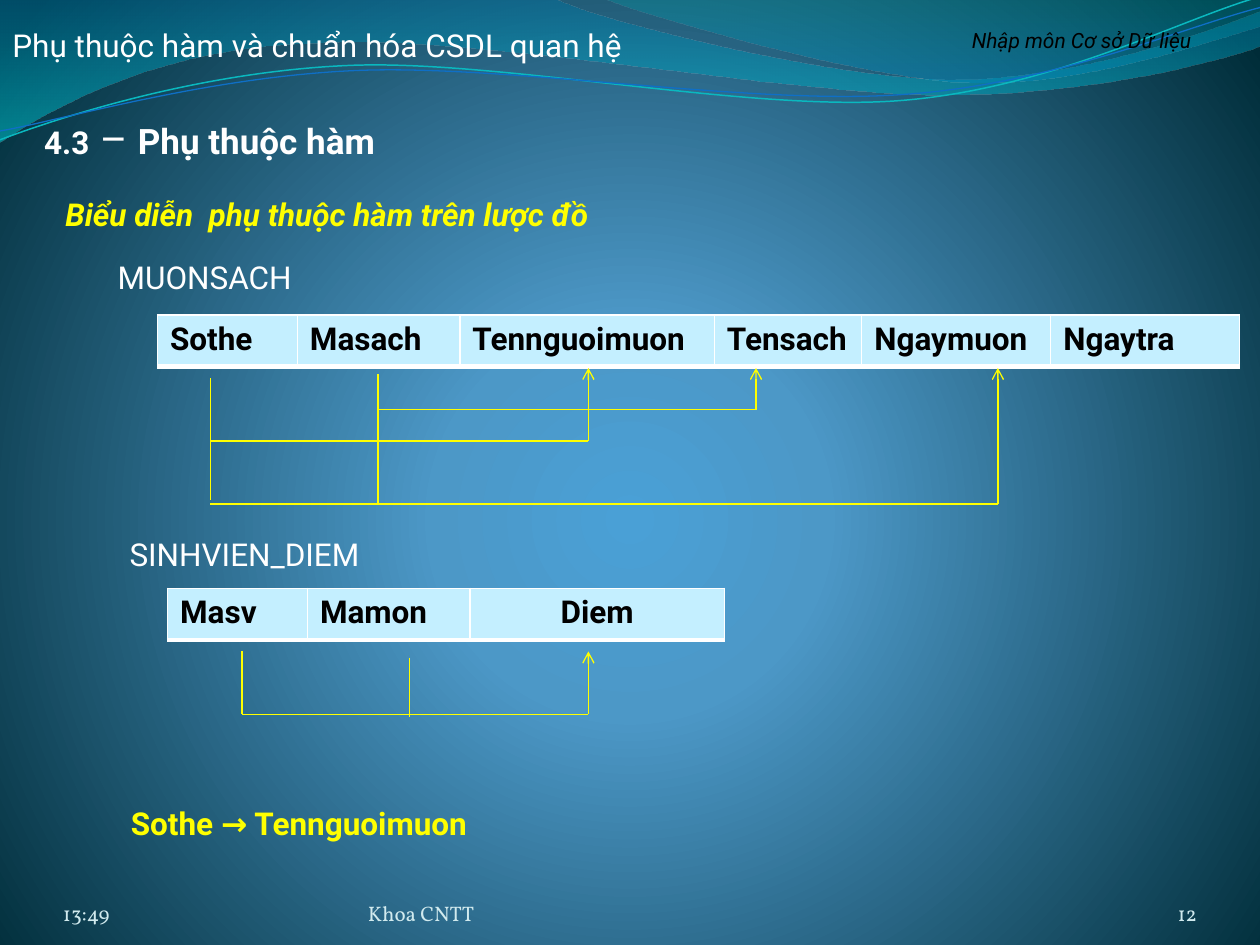
from lxml.etree import SubElement
from pptx import Presentation
from pptx.dml.color import RGBColor
from pptx.enum.shapes import MSO_CONNECTOR
from pptx.enum.text import MSO_ANCHOR, PP_ALIGN
from pptx.oxml import parse_xml
from pptx.oxml.ns import qn
from pptx.util import Pt

PX = 9144  # EMU per px, 100 px to the inch
WHITE = RGBColor(0xFF, 0xFF, 0xFF)
BLACK = RGBColor(0, 0, 0)
YELLOW = RGBColor(0xFF, 0xFF, 0)
PALE = RGBColor(0xD1, 0xEA, 0xEE)
CELL_BLUE = RGBColor(0xC4, 0xEF, 0xFF)
CYAN = RGBColor(0x0A, 0xB8, 0xBF)
BLUE = RGBColor(0x0F, 0x6F, 0xC6)
BAND_TOP = RGBColor(0, 0x74, 0xA1)
BAND_BOTTOM = RGBColor(0, 0xC6, 0xCF)
CREST_TOP = RGBColor(0, 0xA1, 0xA9)
CREST_BOTTOM = RGBColor(0, 0x8B, 0xBF)
LEFT, CENTER, RIGHT = PP_ALIGN.LEFT, PP_ALIGN.CENTER, PP_ALIGN.RIGHT

prs = Presentation()
prs.slide_width, prs.slide_height = 1000 * PX, 750 * PX
slide = prs.slides.add_slide(prs.slide_layouts[5])
shapes = slide.shapes


def add_run(paragraph, text, size, color, bold=False, italic=False, font="Roboto"):
    run = paragraph.add_run()
    run.text = text
    run.font.name, run.font.size = font, Pt(size)
    run.font.bold, run.font.italic = bold, italic
    run.font.color.rgb = color


def add_wave(start, curves, corners=()):
    """Draw cubic curves (control, control, end) from start, closing through any corners."""
    points = [point for curve in curves for point in curve]
    builder = shapes.build_freeform(*start, scale=PX)
    builder.add_line_segments(points + list(corners), close=bool(corners))
    wave = builder.convert_to_shape()
    wave.shadow.inherit = False
    # Turn each three line steps of a curve into one cubic step
    steps = list(wave.element.spPr.iter(qn("a:lnTo")))[:len(points)]
    for first in range(0, len(steps), 3):
        cubic = SubElement(steps[first].getparent(), qn("a:cubicBezTo"))
        steps[first].addprevious(cubic)
        for step in steps[first:first + 3]:
            cubic.append(step[0])
            step.getparent().remove(step)
    return wave


# Radial background
slide.background.fill.solid()
bg_pr = slide.element.cSld.find(qn("p:bg")).find(qn("p:bgPr"))
bg_pr.replace(bg_pr[0], parse_xml(
    '<a:gradFill xmlns:a="http://schemas.openxmlformats.org/drawingml/2006/main" rotWithShape="1">'
    '<a:gsLst><a:gs pos="0"><a:srgbClr val="4AA0D6"/></a:gs>'
    '<a:gs pos="25000"><a:srgbClr val="4C98C7"/></a:gs>'
    '<a:gs pos="100000"><a:srgbClr val="002C38"/></a:gs></a:gsLst>'
    '<a:path path="circle"><a:fillToRect l="10000" t="110000" r="10000" b="100000"/></a:path>'
    '</a:gradFill>'))

# Waves along the top
band = add_wave(
    (440, -1),
    [((476, 17), (664, 63), (758, 63)), ((853, 63), (958, 26), (1000, 9)),
     ((1000, 18), (1001, 27), (1001, 36)), ((983, 44), (870, 76), (746, 75)),
     ((622, 75), (382, 28), (257, 34)), ((129, 36), (46, 83), (-1, 113))],
    corners=[(0, 0)])
crest = add_wave(
    (479, -1),
    [((509, 11), (682, 62), (769, 65)), ((856, 69), (961, 32), (1000, 21))],
    corners=[(1000, 0)])
for wave, stops in ((band, ((BAND_TOP, 45), (BAND_BOTTOM, 55))),
                    (crest, ((CREST_TOP, 30), (CREST_BOTTOM, 45)))):
    wave.line.fill.background()
    wave.fill.gradient()
    wave.fill.gradient_angle = 270
    for stop, (color, _) in zip(wave.fill.gradient_stops, stops):
        stop.color.rgb = color
    for rgb, (_, opacity) in zip(wave.element.spPr.iter(qn("a:srgbClr")), stops):
        SubElement(rgb, qn("a:alpha"), val=str(opacity * 1000))

for color, width, start, curves in (
    (CYAN, 0.85, (0, 111),
     [((48, 93), (158, 57), (277, 52)), ((395, 47), (593, 89), (713, 80)),
      ((833, 71), (938, 15), (998, -2))]),
    (BLUE, 0.75, (0, 104),
     [((47, 96), (164, 61), (283, 56)), ((403, 51), (597, 84), (717, 75)),
      ((836, 67), (941, 21), (1000, 6))]),
):
    strand = add_wave(start, curves)
    strand.fill.background()
    strand.line.color.rgb, strand.line.width = color, Pt(width)

# Section title
title = shapes.title
title.left, title.top, title.width, title.height = 25 * PX, 84 * PX, 700 * PX, 50 * PX
title.text_frame.vertical_anchor = MSO_ANCHOR.TOP
heading = title.text_frame.paragraphs[0]
heading.alignment = LEFT
add_run(heading, "4.3", 18, WHITE, bold=True)
add_run(heading, " – ", 24, WHITE)
add_run(heading, "Phụ thuộc hàm", 20, WHITE, bold=True)

# Labels: text, box, alignment, size, colour, bold, italic
for text, box, align, size, color, bold, italic in (
    ("Nhập môn Cơ sở Dữ liệu", (717, 17, 283, 30), CENTER, 12, BLACK, False, True),
    ("Phụ thuộc hàm và chuẩn hóa CSDL quan hệ", (0, 16, 511, 40), LEFT, 18, WHITE, False, False),
    ("Biểu diễn  phụ thuộc hàm trên lược đồ", (42, 150, 502, 40), LEFT, 18, YELLOW, True, True),
    ("MUONSACH", (69, 200, 187, 40), CENTER, 18, WHITE, False, False),
    ("SINHVIEN_DIEM", (93, 420, 207, 40), LEFT, 18, WHITE, False, False),
    ("Sothe → Tennguoimuon", (94, 633, 323, 40), LEFT, 18, YELLOW, True, False),
):
    frame = shapes.add_textbox(*(v * PX for v in box)).text_frame
    frame.word_wrap = True
    frame.paragraphs[0].alignment = align
    add_run(frame.paragraphs[0], text, size, color, bold, italic)

# Footer
for text, left, width, align in (("13:49", 50, 233, LEFT), ("Khoa CNTT", 292, 367, LEFT),
                                 ("12", 867, 83, RIGHT)):
    frame = shapes.add_textbox(left * PX, 695 * PX, width * PX, 40 * PX).text_frame
    frame.word_wrap = True
    frame.vertical_anchor = MSO_ANCHOR.BOTTOM
    frame.margin_left = frame.margin_top = frame.margin_right = frame.margin_bottom = 0
    frame.paragraphs[0].alignment = align
    add_run(frame.paragraphs[0], text, 12, PALE, font="Vollkorn")

# Relation schemas
for left, top, attributes in (
    (125, 250, (("Sothe", 111, LEFT), ("Masach", 129, LEFT), ("Tennguoimuon", 202, LEFT),
                ("Tensach", 117, LEFT), ("Ngaymuon", 150, LEFT), ("Ngaytra", 150, LEFT))),
    (133, 467, (("Masv", 111, LEFT), ("Mamon", 129, LEFT), ("Diem", 202, CENTER))),
):
    total = sum(width for _, width, _ in attributes)
    schema = shapes.add_table(1, len(attributes), left * PX, top * PX, total * PX, 41 * PX).table
    schema.first_row = schema.horz_banding = False
    for column, (attribute, width, align) in enumerate(attributes):
        schema.columns[column].width = width * PX
        cell = schema.cell(0, column)
        cell_pr = cell._tc.get_or_add_tcPr()
        for side, points in (("L", 1), ("R", 1), ("T", 1), ("B", 3)):
            border = SubElement(cell_pr, qn(f"a:ln{side}"), w=str(Pt(points)))
            SubElement(SubElement(border, qn("a:solidFill")), qn("a:srgbClr"), val=str(WHITE))
        cell.fill.solid()
        cell.fill.fore_color.rgb = CELL_BLUE
        paragraph = cell.text_frame.paragraphs[0]
        paragraph.alignment = align
        add_run(paragraph, attribute, 18, BLACK, bold=True)

# Dependencies: corner points, and whether the last stretch ends in an arrow
for corners, has_arrow in (
    ([(167, 347), (167, 397)], False),
    ([(167, 300), (167, 350), (467, 350), (467, 292)], True),
    ([(300, 297), (300, 325), (600, 325), (600, 292)], True),
    ([(300, 317), (300, 400)], False),
    ([(167, 400), (792, 400), (792, 292)], True),
    ([(192, 517), (192, 567), (467, 567), (467, 517)], True),
    ([(325, 522), (325, 569)], False),
):
    for begin, end in zip(corners, corners[1:]):
        stretch = shapes.add_connector(MSO_CONNECTOR.STRAIGHT, *(v * PX for v in begin + end))
        stretch.line.color.rgb, stretch.line.width = YELLOW, Pt(0.75)
        properties = stretch.element.spPr
        if has_arrow and end == corners[-1]:
            SubElement(properties.find(qn("a:ln")), qn("a:tailEnd"), type="arrow")
        SubElement(properties, qn("a:effectLst"))

prs.save("out.pptx")
